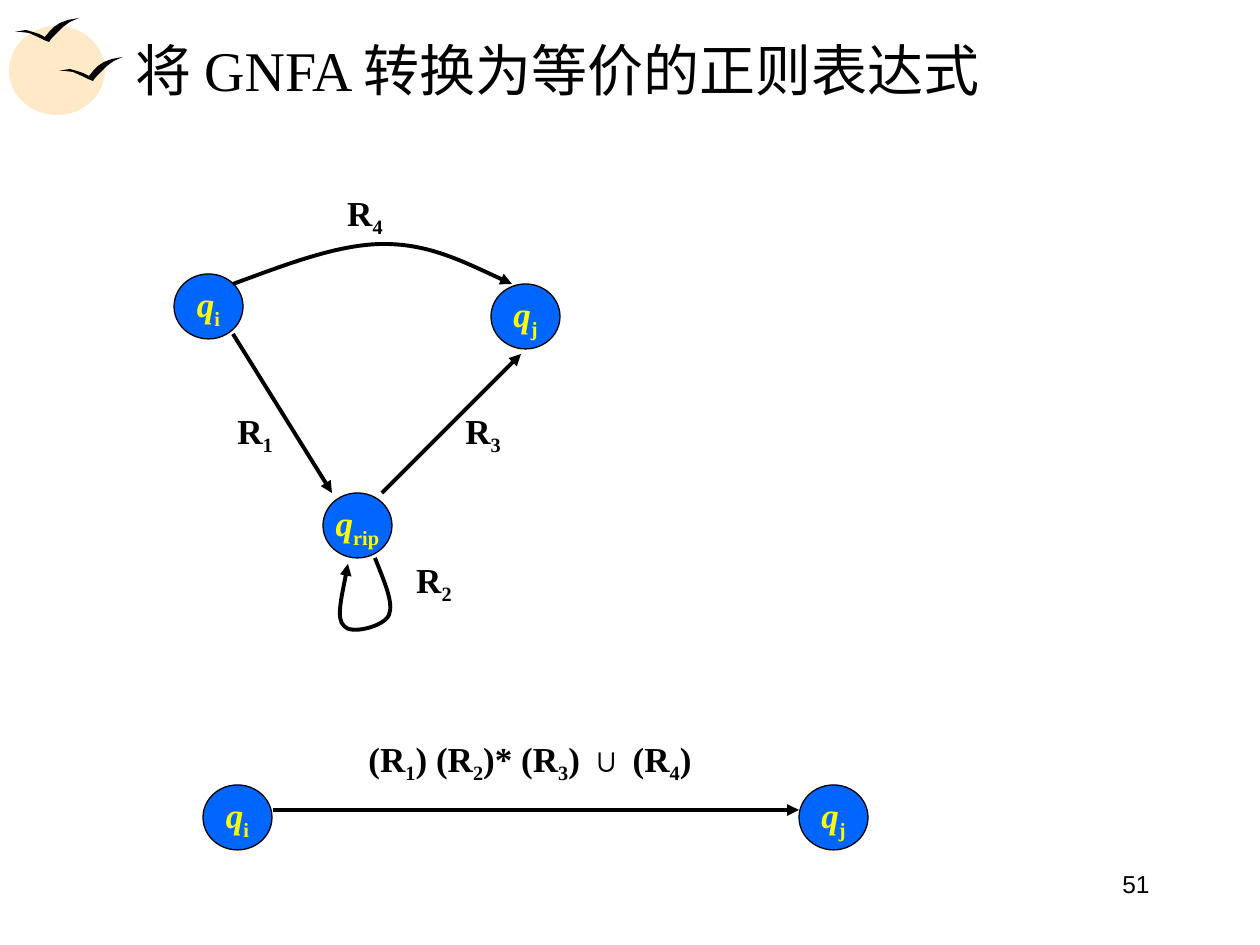
from dataclasses import dataclass

from lxml.etree import SubElement
from pptx import Presentation
from pptx.dml.color import RGBColor
from pptx.enum.shapes import MSO_CONNECTOR, MSO_SHAPE
from pptx.enum.text import MSO_ANCHOR, MSO_AUTO_SIZE, PP_ALIGN
from pptx.oxml.ns import qn
from pptx.util import Pt

PX = 914400 // 126  # EMU per pixel


@dataclass(frozen=True)
class Theme:
    ink: RGBColor = RGBColor(0x00, 0x00, 0x00)
    sun: RGBColor = RGBColor(0xFE, 0xE9, 0xC8)
    node: RGBColor = RGBColor(0x00, 0x66, 0xFF)
    node_text: RGBColor = RGBColor(0xFF, 0xFF, 0x00)
    serif: str = "Times New Roman"
    sans: str = "Arial"
    title: Pt = Pt(32)
    label: Pt = Pt(20)
    number: Pt = Pt(14)
    outline: Pt = Pt(0.75)
    arrow: Pt = Pt(2.25)


theme = Theme()


def write_label(tf, text, color, italic=False):
    """Write centred bold text; every second part between underscores is a subscript."""
    p = tf.paragraphs[0]
    p.alignment = PP_ALIGN.CENTER
    for i, part in enumerate(text.split("_")):
        if not part:
            continue
        r = p.add_run()
        r.text = part
        r.font.name, r.font.size, r.font.bold = theme.serif, theme.label, True
        r.font.color.rgb = color
        r.font.italic = italic and i % 2 == 0
        if i % 2:
            r._r.get_or_add_rPr().set("baseline", "-25000")


def style_arrow(sp):
    sp.line.color.rgb = theme.ink
    sp.line.width = theme.arrow
    SubElement(sp.line._get_or_add_ln(), qn("a:tailEnd"), type="triangle")
    SubElement(sp._element.spPr, qn("a:effectLst"))


prs = Presentation()
prs.slide_width, prs.slide_height = 1260 * PX, 945 * PX
s = prs.slides.add_slide(prs.slide_layouts[5])
shapes = s.shapes

# Title
title = shapes.title
title.left, title.top, title.width, title.height = 123 * PX, 26 * PX, 1075 * PX, 87 * PX
tf = title.text_frame
tf.auto_size = MSO_AUTO_SIZE.NONE
tf.vertical_anchor = MSO_ANCHOR.MIDDLE
p = tf.paragraphs[0]
p.alignment = PP_ALIGN.LEFT
r = p.add_run()
r.text = "将 GNFA 转换为等价的正则表达式"
r.font.name, r.font.size = theme.serif, theme.title
r.font.color.rgb = theme.ink

# Sun and birds
for x, y, w, h in [(9, 26, 96, 89), (25, 35, 79, 69)]:
    sp = shapes.add_shape(MSO_SHAPE.OVAL, x * PX, y * PX, w * PX, h * PX)
    sp.shadow.inherit = False
    sp.fill.solid()
    sp.fill.fore_color.rgb = theme.sun
    sp.line.fill.background()

bird = [(0, 14), (5, 13), (11, 12), (18, 14), (24, 16), (30, 19), (35, 13),
        (39, 9), (45, 5), (53, 2), (64, 0), (55, 4), (48, 9), (42, 15),
        (37, 20), (34, 24), (29, 22), (23, 19), (14, 15), (6, 14)]
for left, top in [(59, 57), (15, 18)]:
    points = [(left + x, top + y) for x, y in bird]
    fb = shapes.build_freeform(*points[0], scale=PX)
    fb.add_line_segments(points[1:])
    sp = fb.convert_to_shape()
    sp.shadow.inherit = False
    sp.fill.solid()
    sp.fill.fore_color.rgb = theme.ink
    sp.line.fill.background()

# States
for x, y, name in [(174, 274, "q_i"), (491, 284, "q_j"), (323, 493, "q_rip"),
                   (203, 785, "q_i"), (799, 785, "q_j")]:
    sp = shapes.add_shape(MSO_SHAPE.OVAL, x * PX, y * PX, 69 * PX, 65 * PX)
    sp.shadow.inherit = False
    sp.fill.solid()
    sp.fill.fore_color.rgb = theme.node
    sp.line.color.rgb = theme.ink
    sp.line.width = theme.outline
    tf = sp.text_frame
    tf.word_wrap = False
    tf.vertical_anchor = MSO_ANCHOR.MIDDLE
    write_label(tf, name, theme.node_text, italic=True)

# Straight transitions
for x1, y1, x2, y2 in [(233, 334, 332, 493), (382, 493, 521, 354), (273, 810, 799, 810)]:
    style_arrow(shapes.add_connector(MSO_CONNECTOR.STRAIGHT,
                                     x1 * PX, y1 * PX, x2 * PX, y2 * PX))

# Curved transitions: a start point, then three points for each Bézier segment
curves = [
    [(233, 284), (285, 265), (338, 244), (384, 244),
     (430, 244), (470, 265), (512, 284)],
    [(375, 558), (384, 581), (394, 603), (389, 615), (384, 627),
     (350, 635), (344, 626), (336, 619), (343, 591), (348, 564)],
]
for points in curves:
    fb = shapes.build_freeform(*points[0], scale=PX)
    fb.add_line_segments(points[1:], close=False)
    sp = fb.convert_to_shape()
    path = sp._element.find(".//" + qn("a:path"))
    steps = path.findall(qn("a:lnTo"))
    for i in range(0, len(steps), 3):
        bezier = SubElement(path, qn("a:cubicBezTo"))
        for step in steps[i:i + 3]:
            bezier.append(step[0])
            path.remove(step)
    sp.fill.background()
    style_arrow(sp)

# Transition labels
for x, y, w, text in [(323, 185, 84, "R_4"), (441, 403, 84, "R_3"),
                      (213, 403, 84, "R_1"), (392, 552, 84, "R_2"),
                      (312, 731, 436, "(R_1_) (R_2_)* (R_3_) ∪ (R_4_)")]:
    tf = shapes.add_textbox(x * PX, y * PX, w * PX, 60 * PX).text_frame
    tf.word_wrap = True
    write_label(tf, text, theme.ink)

# Page number
tf = shapes.add_textbox(868 * PX, 863 * PX, 294 * PX, 66 * PX).text_frame
tf.word_wrap = True
p = tf.paragraphs[0]
p.alignment = PP_ALIGN.RIGHT
r = p.add_run()
r.text = "51"
r.font.name, r.font.size = theme.sans, theme.number
r.font.color.rgb = theme.ink

prs.save("out.pptx")
